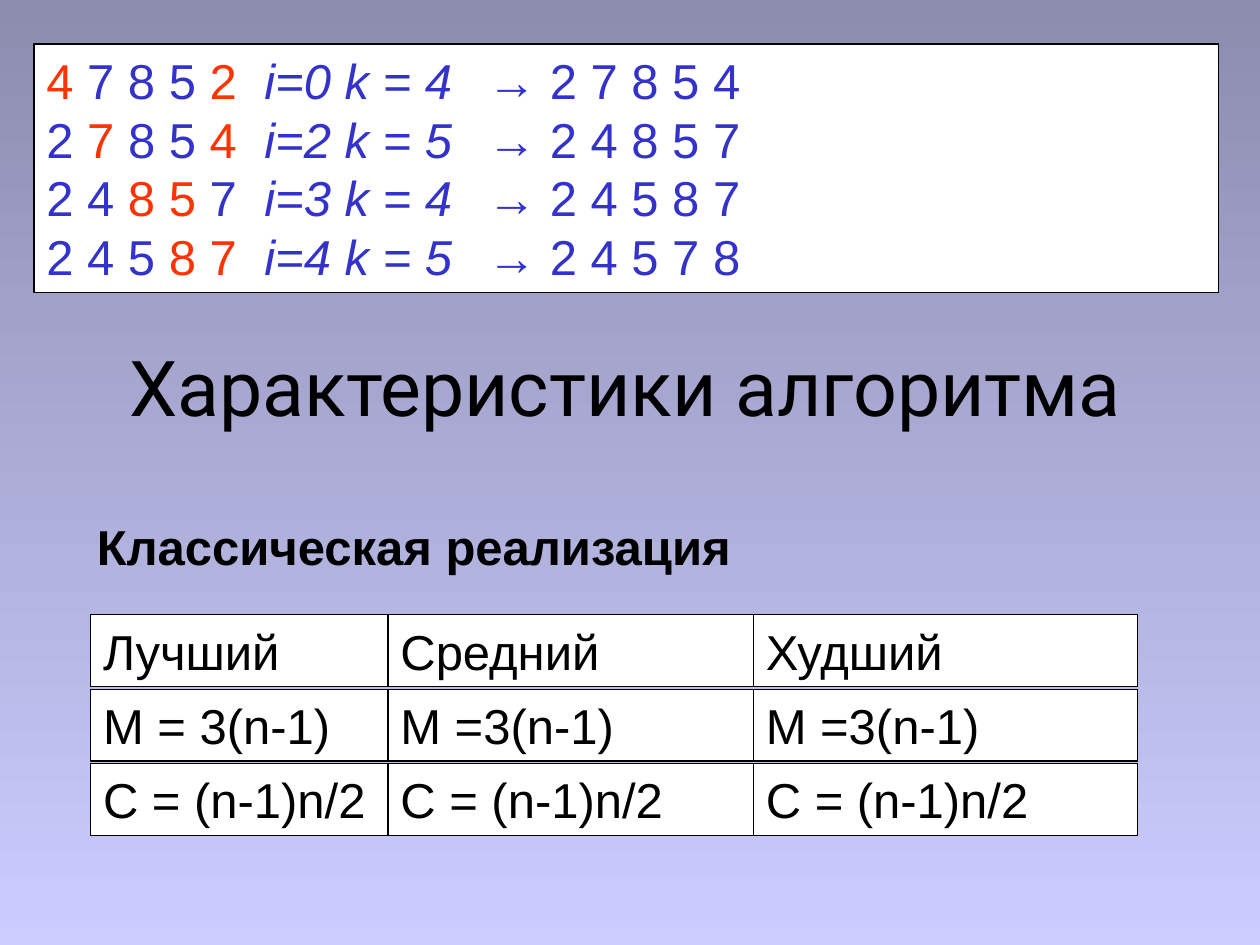
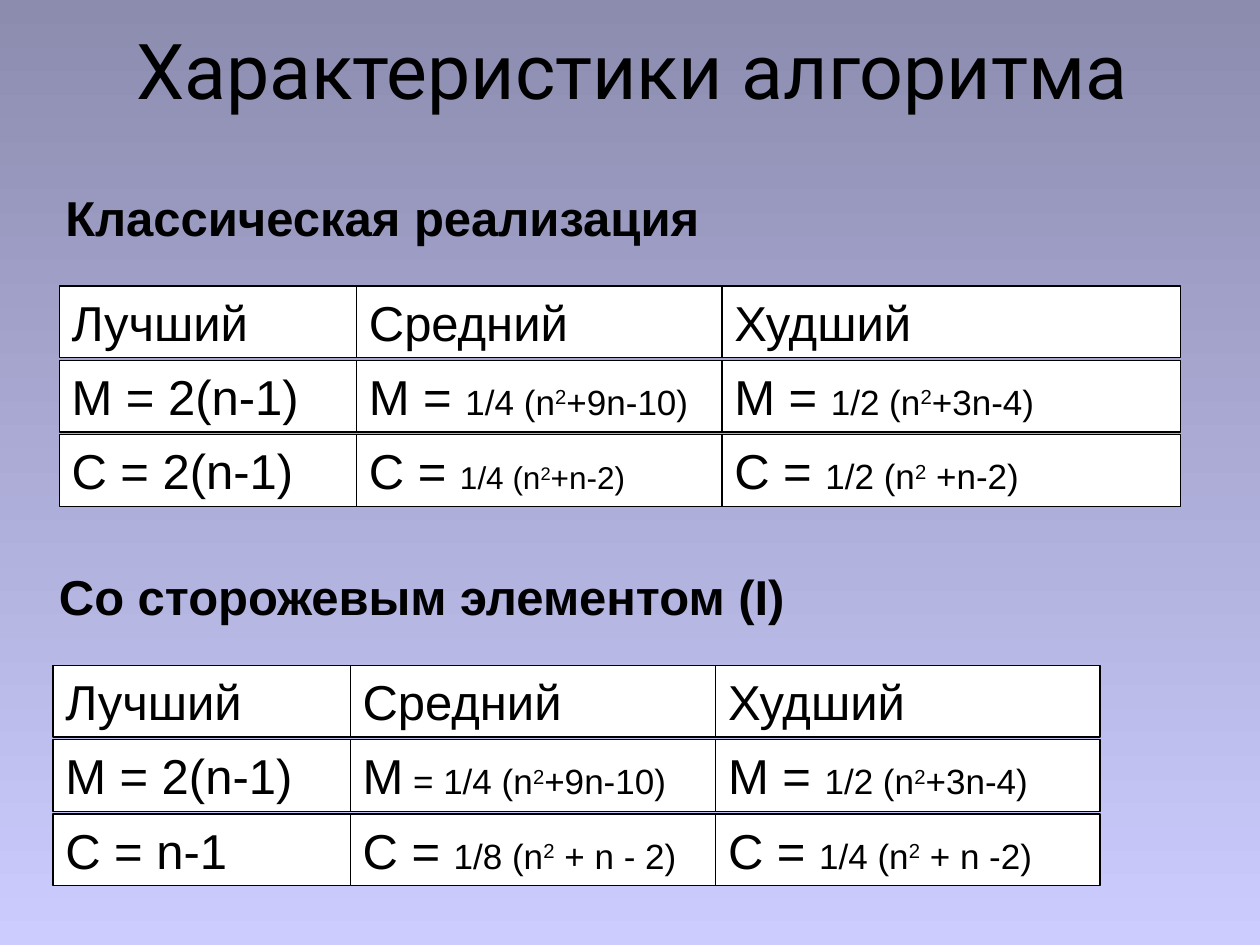
import pptx
import pptx.dml.color
import pptx.enum.shapes
import pptx.enum.text
import pptx.util
from lxml import etree
from pptx.dml.color import RGBColor
from pptx.util import Inches

# Colours and text formats
BLACK = RGBColor(0x00, 0x00, 0x00)
WHITE = RGBColor(0xFF, 0xFF, 0xFF)
BLUE = RGBColor(0x33, 0x33, 0xCC)
RED = RGBColor(0xFF, 0x33, 0x00)
BACKGROUND = [RGBColor(0x8C, 0x8C, 0xAF), RGBColor(0xCC, 0xCC, 0xFF)]

TITLE_FORMAT = {"name": "Roboto", "size": 44, "color": BLACK}
CELL_FORMAT = {"name": "Arial", "size": 28, "color": BLACK}
HEADING_FORMAT = {**CELL_FORMAT, "bold": True}
STEP_FORMAT = {**CELL_FORMAT, "color": BLUE}
SWAP_FORMAT = {**CELL_FORMAT, "color": RED}
INDEX_FORMAT = {**STEP_FORMAT, "italic": True}

# Content: digits, positions of the swapped pair, indices, result
SORT_STEPS = [
    ("47852", (0, 4), "i=0 k = 4", "27854"),
    ("27854", (1, 4), "i=2 k = 5", "24857"),
    ("24857", (2, 3), "i=3 k = 4", "24587"),
    ("24587", (3, 4), "i=4 k = 5", "24578"),
]
TITLE = "Характеристики алгоритма"
CASES = ["Лучший", "Средний", "Худший"]
CLASSIC = "Классическая реализация"

# A cell is plain text, or (large text, small formula, formula size)
SLIDES = [
    {
        "steps": SORT_STEPS,
        "title_at": (0.47, 2.52),
        "grids": [
            {"heading": CLASSIC, "at": (0.72, 4.88), "last_width": 3.05,
             "rows": [CASES,
                      ["M = 3(n-1)", "M =3(n-1)", "M =3(n-1)"],
                      ["C = (n-1)n/2"] * 3]},
        ],
    },
    {
        "steps": [],
        "title_at": (0.52, 0),
        "grids": [
            {"heading": CLASSIC, "at": (0.47, 2.27), "last_width": 3.64,
             "rows": [CASES,
                      ["M = 2(n-1)", ("M = ", "1/4 (n²+9n-10)", 20),
                       ("M = ", "1/2 (n²+3n-4)", 20)],
                      ["C = 2(n-1)", ("C = ", "1/4 (n²+n-2)", 18),
                       ("C = ", "1/2 (n² +n-2)", 20)]]},
            {"heading": "Со сторожевым элементом (I)", "at": (0.42, 5.28),
             "last_width": 3.05,
             "rows": [CASES,
                      ["M = 2(n-1)", ("M", " = 1/4 (n²+9n-10)", 20),
                       ("M = ", "1/2 (n²+3n-4)", 20)],
                      ["C = n-1", ("C = ", "1/8 (n² + n - 2)", 20),
                       ("C = ", "1/4 (n² + n -2)", 20)]]},
        ],
    },
]

# Layout in inches
COLUMN_WIDTHS = [2.36, 2.9]
CELL_HEIGHT = 0.57
ROW_PITCH = 0.59
HEADING_OFFSET = (-0.05, -0.83)
HEADING_WIDTH = 8.27
STEP_BOX = (0.27, 0.35, 9.4, 1.97)
STEP_TABS = [1.73, 3.5]
TITLE_SIZE = (9, 1.09)


def add_span(para, text, formats):
    span = para.add_run()
    span.text = text
    for name, value in formats.items():
        if name == "color":
            span.font.color.rgb = value
        elif name == "size":
            span.font.size = pptx.util.Pt(value)
        else:
            setattr(span.font, name, value)
    return span


def format_frame(frame):
    settings = {
        "word_wrap": True,
        "auto_size": pptx.enum.text.MSO_AUTO_SIZE.SHAPE_TO_FIT_TEXT,
        "vertical_anchor": pptx.enum.text.MSO_ANCHOR.TOP,
    }
    for name, value in settings.items():
        setattr(frame, name, value)


def add_white_box(page, bounds):
    box = page.shapes.add_shape(pptx.enum.shapes.MSO_SHAPE.RECTANGLE,
                                *map(Inches, bounds))
    box.shadow.inherit = False
    box.fill.solid()
    box.fill.fore_color.rgb = WHITE
    box.line.color.rgb = BLACK
    box.line.width = pptx.util.Pt(0.75)
    format_frame(box.text_frame)
    box.text_frame.paragraphs[0].alignment = pptx.enum.text.PP_ALIGN.LEFT
    return box


def add_tab_stops(para, positions):
    tag = pptx.oxml.ns.qn
    tab_list = etree.SubElement(para._p.get_or_add_pPr(), tag("a:tabLst"))
    for position in positions:
        etree.SubElement(tab_list, tag("a:tab"), pos=str(Inches(position)), algn="l")


def add_steps(page, steps):
    frame = add_white_box(page, STEP_BOX).text_frame
    for number, (digits, swapped, indices, result) in enumerate(steps):
        para = frame.add_paragraph() if number else frame.paragraphs[0]
        para.alignment = pptx.enum.text.PP_ALIGN.LEFT
        add_tab_stops(para, STEP_TABS)
        for place, digit in enumerate(digits):
            gap = " " if place < len(digits) - 1 else "\t"
            add_span(para, digit + gap, SWAP_FORMAT if place in swapped else STEP_FORMAT)
        add_span(para, indices + "\t", INDEX_FORMAT)
        add_span(para, "→ " + " ".join(result), STEP_FORMAT)


def add_cell_text(para, cell):
    if isinstance(cell, str):
        add_span(para, cell, CELL_FORMAT)
        return
    lead, formula, size = cell
    small = {**CELL_FORMAT, "size": size}
    before, _, after = formula.partition("²")
    add_span(para, lead, CELL_FORMAT)
    add_span(para, before, small)
    power = add_span(para, "2", small)
    power._r.get_or_add_rPr().set("baseline", "30000")
    add_span(para, after, small)


def add_grid(page, grid):
    left, top = grid["at"]
    widths = COLUMN_WIDTHS + [grid["last_width"]]
    for row, cells in enumerate(grid["rows"]):
        for column, cell in enumerate(cells):
            bounds = (left + sum(widths[:column]), top + row * ROW_PITCH,
                      widths[column], CELL_HEIGHT)
            box = add_white_box(page, bounds)
            add_cell_text(box.text_frame.paragraphs[0], cell)

    # Heading above the cells
    heading = page.shapes.add_textbox(
        Inches(left + HEADING_OFFSET[0]), Inches(top + HEADING_OFFSET[1]),
        Inches(HEADING_WIDTH), Inches(CELL_HEIGHT))
    format_frame(heading.text_frame)
    add_span(heading.text_frame.paragraphs[0], grid["heading"], HEADING_FORMAT)


def add_title(page, position):
    title = page.shapes.title
    bounds = map(Inches, position + TITLE_SIZE)
    for name, value in zip(("left", "top", "width", "height"), bounds):
        setattr(title, name, value)
    frame = title.text_frame
    frame.auto_size = pptx.enum.text.MSO_AUTO_SIZE.NONE
    frame.vertical_anchor = pptx.enum.text.MSO_ANCHOR.MIDDLE
    para = frame.paragraphs[0]
    para.alignment = pptx.enum.text.PP_ALIGN.CENTER
    add_span(para, TITLE, TITLE_FORMAT)


def main():
    deck = pptx.Presentation()
    deck.slide_width, deck.slide_height = Inches(10), Inches(7.5)

    # Shared background, dark at the top
    fill = deck.slide_master.background.fill
    fill.gradient()
    fill.gradient_angle = 270
    for stop, color in zip(fill.gradient_stops, BACKGROUND):
        stop.color.rgb = color
    for position, stop in enumerate(fill.gradient_stops):
        stop.position = position

    for content in SLIDES:
        page = deck.slides.add_slide(deck.slide_layouts[5])
        add_title(page, content["title_at"])
        if content["steps"]:
            add_steps(page, content["steps"])
        for grid in content["grids"]:
            add_grid(page, grid)

    deck.save("out.pptx")


if __name__ == "__main__":
    main()
